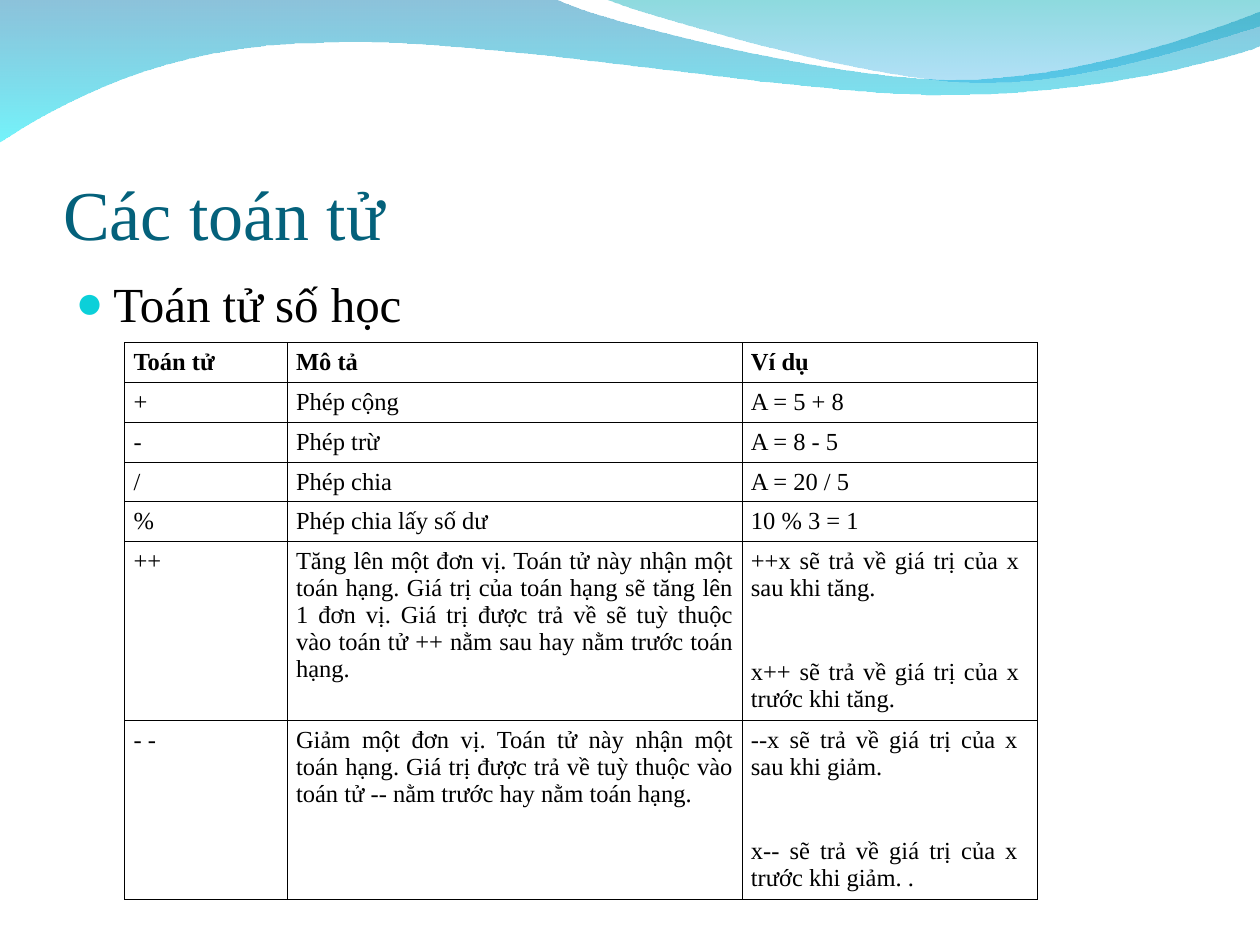
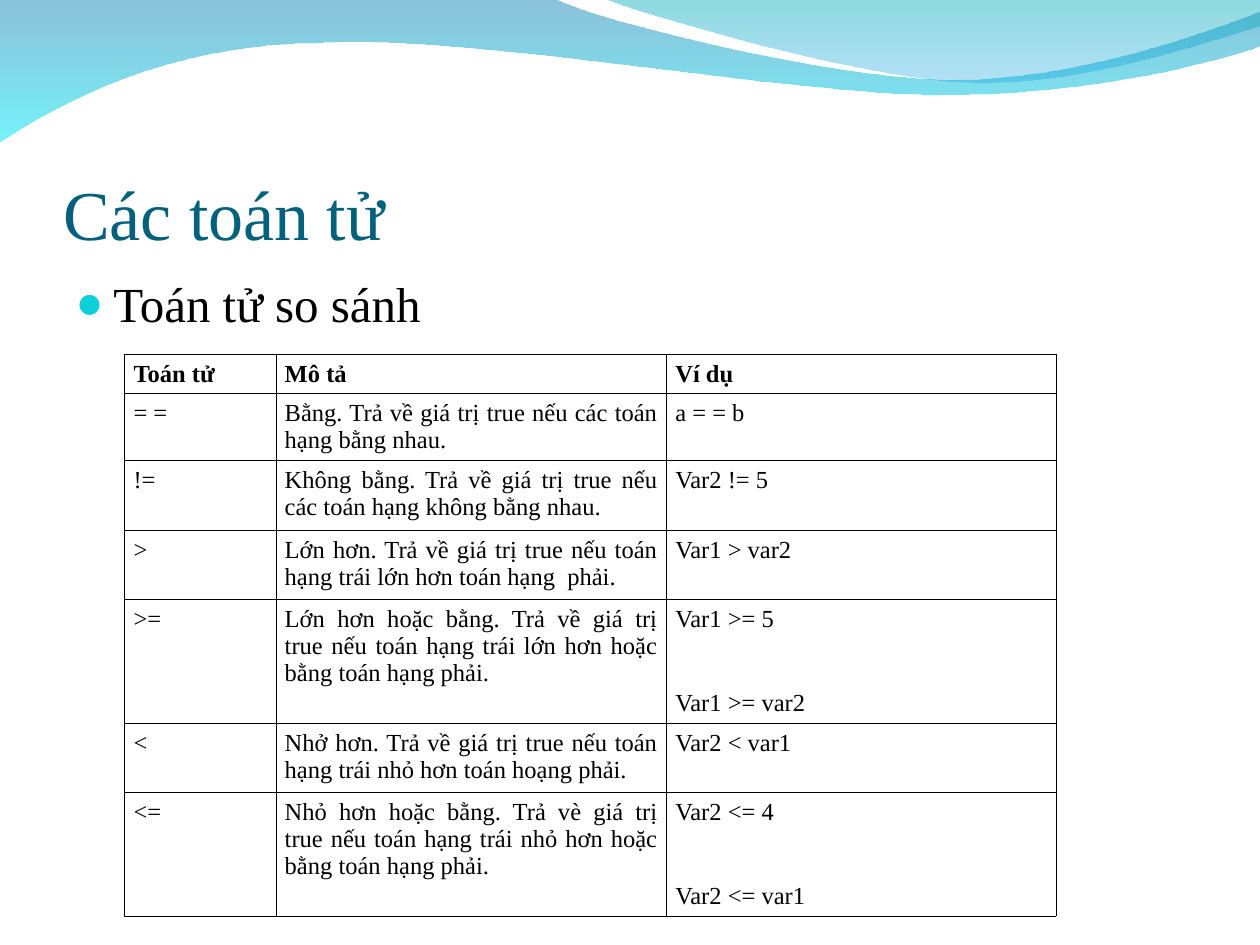
import pptx
import pptx.dml.color
import pptx.enum.text
import pptx.oxml
import pptx.oxml.ns
import pptx.util
from lxml import etree

Inches = pptx.util.Inches
Pt = pptx.util.Pt
RGBColor = pptx.dml.color.RGBColor
ALIGN = pptx.enum.text.PP_ALIGN
ANCHOR = pptx.enum.text.MSO_ANCHOR
qn = pptx.oxml.ns.qn

FONT = "Times New Roman"
TITLE_COLOR = RGBColor(0x04, 0x61, 0x7B)
TEXT_COLOR = RGBColor(0, 0, 0)
BULLET_COLOR = RGBColor(0x0B, 0xD0, 0xD9)
BORDER_COLOR = RGBColor(0, 0, 0)
BORDER_WIDTH = Pt(0.45)
EXAMPLE_GAP = Pt(32.5)

# Boxes: left, top, width, height in inches
PAGE_BOX = (0, 0, 10, 7.5)
TITLE_BOX = (0.5, 0.77, 9, 1.25)
BODY_BOX = (0.5, 2.12, 9, 4.8)

# Waves: one point makes a line, three points make a Bezier curve.
# Gradient stops are colour and opacity in percent, from top to bottom.
WAVES = [
    {
        "start": (0, -0.01),
        "parts": [
            [(4.4, -0.01)],
            [(4.76, 0.17), (6.64, 0.63), (7.58, 0.63)],
            [(8.53, 0.63), (9.58, 0.26), (10, 0.09)],
            [(10.01, 0.36)],
            [(9.83, 0.44), (8.7, 0.76), (7.46, 0.75)],
            [(6.22, 0.75), (3.82, 0.28), (2.57, 0.34)],
            [(1.29, 0.35), (0.46, 0.83), (-0.01, 1.13)],
            [(0, -0.01)],
        ],
        "stops": [(RGBColor(0x00, 0x79, 0xAF), 45), (RGBColor(0x00, 0xEB, 0xF8), 55)],
    },
    {
        "start": (4.79, -0.01),
        "parts": [
            [(5.09, 0.11), (6.82, 0.62), (7.69, 0.65)],
            [(8.56, 0.69), (9.61, 0.32), (10, 0.21)],
            [(10, 0)],
            [(4.79, -0.01)],
        ],
        "stops": [(RGBColor(0x00, 0xAD, 0xB6), 45), (RGBColor(0x00, 0x9B, 0xE5), 30)],
    },
]

HEADER = ["Toán tử", "Mô tả", "Ví dụ"]

# A line break inside an example separates two spaced paragraphs.
SLIDES = [
    {
        "topic": "Toán tử số học",
        "table_at": (0.99, 2.72),
        "columns": [1.29, 3.61, 2.34],
        "heights": [0.31] * 5 + [1.42] * 2,
        "rows": [
            ["+", "Phép cộng", "A = 5 + 8"],
            ["-", "Phép trừ", "A = 8 - 5"],
            ["/", "Phép chia", "A = 20 / 5"],
            ["%", "Phép chia lấy số dư", "10 % 3 = 1"],
            ["++",
             "Tăng lên một đơn vị. Toán tử này nhận một toán hạng. Giá trị của toán hạng "
             "sẽ tăng lên 1 đơn vị. Giá trị được trả về sẽ tuỳ thuộc vào toán tử ++ nằm "
             "sau hay nằm trước toán hạng.",
             "++x sẽ trả về giá trị của x  sau khi tăng.\n"
             "x++ sẽ trả về giá trị của x  trước khi tăng."],
            ["- -",
             "Giảm một đơn vị. Toán tử này nhận một toán hạng. Giá trị được trả về tuỳ "
             "thuộc vào toán tử -- nằm trước hay nằm toán hạng.",
             "--x sẽ trả về giá trị của x  sau khi giảm.\n"
             "x-- sẽ trả về giá trị của x  trước khi giảm. ."],
        ],
    },
    {
        "topic": "Toán tử so sánh",
        "table_at": (0.99, 2.81),
        "columns": [1.2, 3.1, 3.09],
        "heights": [0.31, 0.53, 0.55, 0.55, 0.98, 0.55, 0.98],
        "rows": [
            ["= =", "Bằng. Trả về giá trị true nếu các toán hạng bằng nhau.", "a = = b"],
            ["!=", "Không bằng. Trả về giá trị true nếu các toán hạng không bằng nhau.",
             "Var2 != 5"],
            [">", "Lớn hơn. Trả về giá trị true nếu toán hạng trái lớn hơn toán hạng  phải.",
             "Var1 > var2"],
            [">=",
             "Lớn hơn hoặc bằng. Trả về giá trị true nếu toán hạng trái lớn hơn hoặc bằng "
             "toán hạng phải.",
             "Var1 >= 5\nVar1 >= var2"],
            ["<", "Nhở hơn. Trả về giá trị true nếu toán hạng trái nhỏ hơn toán hoạng phải.",
             "Var2 < var1"],
            ["<=",
             "Nhỏ hơn hoặc bằng. Trả vè giá trị true nếu toán hạng trái nhỏ hơn hoặc bằng "
             "toán hạng phải.",
             "Var2 <= 4\nVar2 <= var1"],
        ],
    },
]


def place(shape, box):
    shape.left, shape.top, shape.width, shape.height = map(Inches, box)


def set_font(para, size, color, bold=False):
    para.font.name = FONT
    para.font.size = Pt(size)
    para.font.color.rgb = color
    para.font.bold = bold


def bend_segments(shape, parts):
    """Join the straight segments of each three-point part into one curve."""
    segments = iter(list(shape.element.iter(qn("a:lnTo"))))
    for part in parts:
        group = [next(segments) for _ in part]
        if len(group) == 3:
            curve = etree.Element(qn("a:cubicBezTo"))
            group[0].addprevious(curve)
            for segment in group:
                curve.append(segment[0])
                segment.getparent().remove(segment)


def add_waves(page, master, box):
    """Draw the wave band and hand it to the master, so every slide shows it."""
    left, top = box[:2]
    for wave in WAVES:
        points = [(Inches(left + x), Inches(top + y))
                  for part in [[wave["start"]]] + wave["parts"] for x, y in part]
        builder = page.shapes.build_freeform(*points[0])
        builder.add_line_segments(points[1:], close=True)
        shape = builder.convert_to_shape()
        bend_segments(shape, wave["parts"])
        shape.shadow.inherit = False
        shape.line.fill.background()
        shape.fill.gradient()
        shape.fill.gradient_angle = 270
        for stop, (color, _) in zip(shape.fill.gradient_stops, wave["stops"]):
            stop.color.rgb = color
        colors = shape.element.spPr.iter(qn("a:srgbClr"))
        for node, (_, opacity) in zip(colors, wave["stops"]):
            etree.SubElement(node, qn("a:alpha")).set("val", str(opacity * 1000))
        master.shapes.element.append(shape.element)


def fill_title(title, box):
    place(title, box)
    frame = title.text_frame
    frame.text = "Các toán tử"
    frame.vertical_anchor = ANCHOR.BOTTOM
    frame.margin_left = frame.margin_right = frame.margin_bottom = 0
    frame.margin_top = Inches(0.05)
    para = frame.paragraphs[0]
    para.alignment = ALIGN.LEFT
    set_font(para, 40, TITLE_COLOR)


def fill_topic(body, box, topic):
    place(body, box)
    body.text_frame.text = topic
    para = body.text_frame.paragraphs[0]
    para.space_before = Pt(6.5)
    set_font(para, 28, TEXT_COLOR)
    # Round coloured bullet with a hanging indent
    props = para._p.get_or_add_pPr()
    props.set("marL", str(Inches(0.3)))
    props.set("indent", str(-Inches(0.3)))
    color = etree.SubElement(props, qn("a:buClr"))
    etree.SubElement(color, qn("a:srgbClr")).set("val", str(BULLET_COLOR))
    etree.SubElement(props, qn("a:buSzPct")).set("val", "95000")
    etree.SubElement(props, qn("a:buFont")).set("typeface", FONT)
    etree.SubElement(props, qn("a:buChar")).set("char", "●")
    # Bullet settings stand before the default run settings
    defaults = props.find(qn("a:defRPr"))
    if defaults is not None:
        props.append(defaults)


def add_borders(cell):
    props = cell._tc.get_or_add_tcPr()
    for index, side in enumerate(("lnL", "lnR", "lnT", "lnB")):
        line = pptx.oxml.parse_xml(
            f'<a:{side} {pptx.oxml.ns.nsdecls("a")} w="{BORDER_WIDTH}"><a:solidFill>'
            f'<a:srgbClr val="{BORDER_COLOR}"/></a:solidFill></a:{side}>')
        props.insert(index, line)


def fill_cell(cell, text, bold):
    cell.fill.background()
    cell.margin_left = cell.margin_right = Inches(0.07)
    cell.margin_top = cell.margin_bottom = Inches(0.05)
    cell.text_frame.text = text
    for index, para in enumerate(cell.text_frame.paragraphs):
        para.alignment = ALIGN.JUSTIFY
        para.space_before = EXAMPLE_GAP if index else Pt(0)
        set_font(para, 14, TEXT_COLOR, bold)
    add_borders(cell)


def add_operator_table(page, at, columns, heights, rows):
    box = (*at, sum(columns), sum(heights))
    table = page.shapes.add_table(len(heights), len(columns), *map(Inches, box)).table
    table.first_row = table.horz_banding = False
    for column, width in zip(table.columns, columns):
        column.width = Inches(width)
    for row, height in zip(table.rows, heights):
        row.height = Inches(height)
    for row_index, texts in enumerate([HEADER] + rows):
        for column_index, text in enumerate(texts):
            fill_cell(table.cell(row_index, column_index), text, bold=row_index == 0)


def add_operator_slide(deck, content):
    page = deck.slides.add_slide(deck.slide_layouts[1])
    fill_title(page.shapes.title, TITLE_BOX)
    fill_topic(page.placeholders[1], BODY_BOX, content["topic"])
    add_operator_table(page, content["table_at"], content["columns"],
                       content["heights"], content["rows"])
    return page


def main():
    deck = pptx.Presentation()
    deck.slide_width, deck.slide_height = map(Inches, PAGE_BOX[2:])
    pages = [add_operator_slide(deck, content) for content in SLIDES]
    add_waves(pages[0], deck.slide_master, PAGE_BOX)
    deck.save("out.pptx")


if __name__ == "__main__":
    main()
